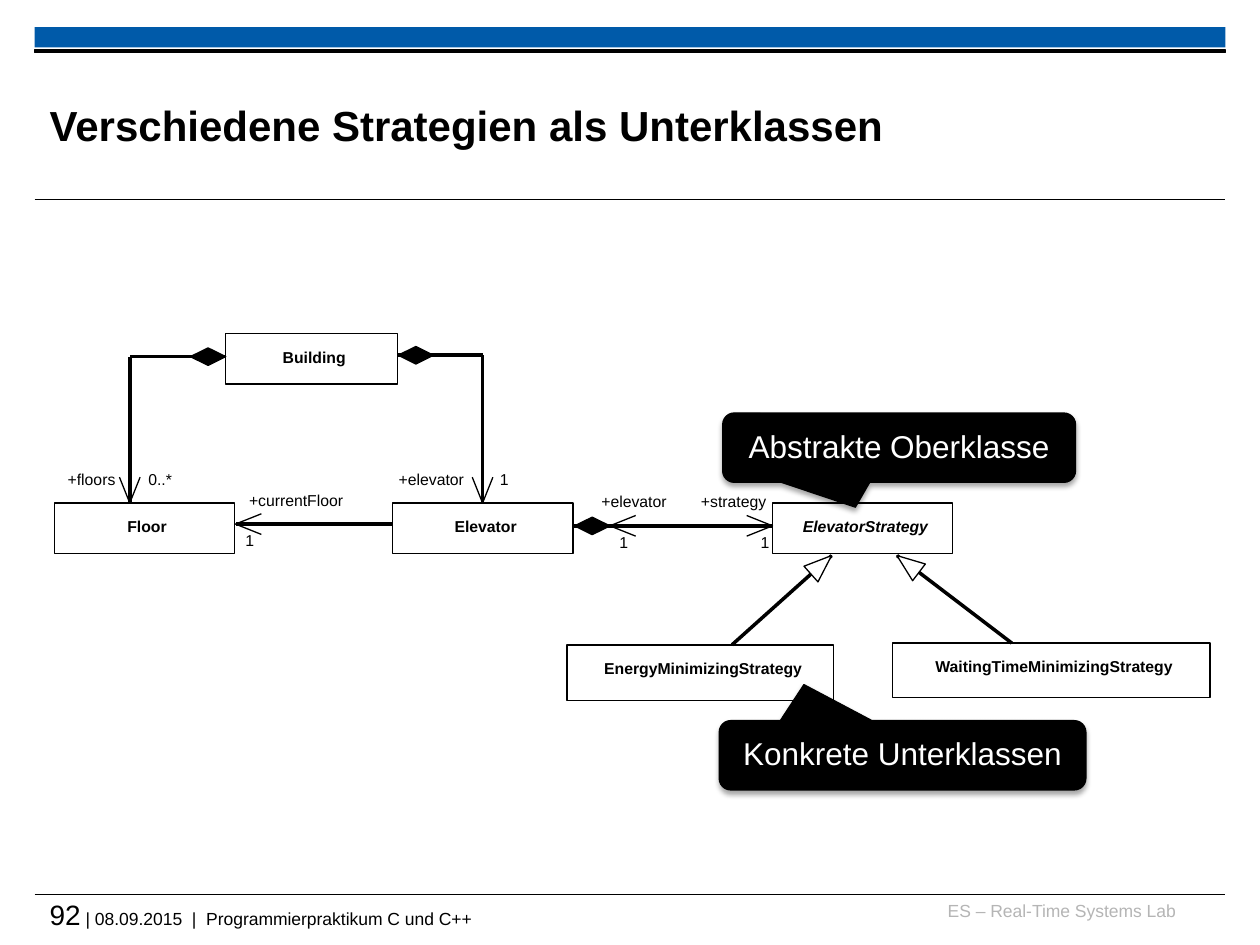
import math
from dataclasses import dataclass
from itertools import pairwise

import pptx
import pptx.dml.color
import pptx.enum.shapes
import pptx.enum.text
import pptx.oxml
import pptx.oxml.ns
import pptx.util
from lxml import etree

Pt = pptx.util.Pt
Shapes = pptx.enum.shapes.MSO_SHAPE
Align = pptx.enum.text.PP_ALIGN
Anchor = pptx.enum.text.MSO_ANCHOR


@dataclass(frozen=True)
class Theme:
    font: str = "Arial"
    ink: str = "000000"
    paper: str = "FFFFFF"
    accent: str = "005AA9"
    muted: str = "B5B5B5"
    title_size: float = 24
    callout_size: float = 18
    number_size: float = 16
    footer_size: float = 10
    diagram_size: float = 9
    hairline: float = 0
    rule: float = 0.6
    outline: float = 0.75
    line_spacing: float = 0.93


@dataclass(frozen=True)
class Box:
    left: float
    top: float
    width: float
    height: float

    def inside(self, left, top, width, height):
        return Box(self.left + left, self.top + top, width, height)

    def point(self, x, y):
        return self.left + x, self.top + y

    def lengths(self):
        return Pt(self.left), Pt(self.top), Pt(self.width), Pt(self.height)


THEME = Theme()
OPEN_ARROW = [(14.8, -5.9), (0, 0), (14.8, 5.9)]
DIAMOND = [(0, 0), (10.1, -5), (20.2, 0), (10.1, 5)]
TRIANGLE = [(0, 0), (15.8, -6), (15.8, 6)]


def color(value):
    return pptx.dml.color.RGBColor.from_string(value)


def style_font(font, size, value=THEME.ink, bold=False, italic=False):
    font.name, font.size = THEME.font, Pt(size)
    font.bold, font.italic = bold, italic
    font.color.rgb = color(value)


def style_shape(shape, fill=None, line_width=None):
    shape.shadow.inherit = False
    if fill:
        shape.fill.solid()
        shape.fill.fore_color.rgb = color(fill)
    else:
        shape.fill.background()
    if line_width is None:
        shape.line.fill.background()
    else:
        shape.line.color.rgb = color(THEME.ink)
        shape.line.width = Pt(line_width)


def clear_margins(frame):
    frame.margin_left = frame.margin_right = frame.margin_top = frame.margin_bottom = 0


def add_block(slide, kind, box, fill, line_width=None):
    shape = slide.shapes.add_shape(kind, *box.lengths())
    style_shape(shape, fill, line_width)
    return shape


def add_text(slide, box, wrap=True):
    frame = slide.shapes.add_textbox(*box.lengths()).text_frame
    clear_margins(frame)
    frame.word_wrap = wrap
    return frame.paragraphs[0]


def add_line(slide, start, end, width):
    connector = slide.shapes.add_connector(
        pptx.enum.shapes.MSO_CONNECTOR.STRAIGHT, *map(Pt, start + end))
    connector.line.color.rgb = color(THEME.ink)
    connector.line.width = Pt(width)
    etree.SubElement(connector.element.spPr, pptx.oxml.ns.qn("a:effectLst"))


def add_header(slide, box, text):
    add_block(slide, Shapes.RECTANGLE, box.inside(0, 0, box.width, 11.5), THEME.accent)
    add_block(slide, Shapes.RECTANGLE, box.inside(0, 13, box.width, 1.4),
              THEME.ink, THEME.outline)
    add_line(slide, box.point(0, box.height), box.point(box.width, box.height), THEME.rule)
    title = slide.shapes.title
    title.left, title.top, title.width, title.height = box.inside(8.6, 22.4, 541.5, 66.2).lengths()
    frame = title.text_frame
    clear_margins(frame)
    frame.auto_size = pptx.enum.text.MSO_AUTO_SIZE.NONE
    frame.vertical_anchor = Anchor.MIDDLE
    paragraph = frame.paragraphs[0]
    paragraph.text = text
    paragraph.alignment = Align.LEFT
    style_font(paragraph.font, THEME.title_size, bold=True)


def add_footer(slide, box, number, details, lab):
    add_line(slide, box.point(0, 0), box.point(box.width, 0), THEME.rule)
    paragraph = add_text(slide, box.inside(510, 3, 142, 18))
    paragraph.text = lab
    paragraph.alignment = Align.RIGHT
    style_font(paragraph.font, THEME.footer_size, THEME.muted)
    paragraph = add_text(slide, box.inside(8.6, 1.6, 450, 24))
    for text, size in [(number, THEME.number_size), (details, THEME.footer_size)]:
        run = paragraph.add_run()
        run.text = text
        style_font(run.font, size)


def add_class(slide, box, name, abstract=False):
    shape = add_block(slide, Shapes.RECTANGLE, box, THEME.paper, THEME.hairline)
    frame = shape.text_frame
    clear_margins(frame)
    frame.margin_left, frame.margin_top = Pt(3), Pt(9)
    frame.vertical_anchor = Anchor.TOP
    frame.word_wrap = False
    paragraph = frame.paragraphs[0]
    paragraph.text = name
    paragraph.alignment = Align.CENTER
    paragraph.line_spacing = THEME.line_spacing
    style_font(paragraph.font, THEME.diagram_size, bold=True, italic=abstract)


def add_end(slide, tip, toward, outline, fill=None):
    angle = math.atan2(toward[1] - tip[1], toward[0] - tip[0])
    cosine, sine = math.cos(angle), math.sin(angle)
    points = [(Pt(tip[0] + along * cosine - across * sine),
               Pt(tip[1] + along * sine + across * cosine))
              for along, across in outline]
    builder = slide.shapes.build_freeform(*points[0])
    builder.add_line_segments(points[1:], close=fill is not None)
    style_shape(builder.convert_to_shape(), fill, THEME.hairline)


def add_relation(slide, points, end, end_fill=None, owned=False):
    for start, stop in pairwise(points):
        add_line(slide, start, stop, THEME.hairline)
    add_end(slide, points[-1], points[-2], end, end_fill)
    if owned:
        add_end(slide, points[0], points[1], DIAMOND, THEME.ink)


def add_class_diagram(slide, box):
    for name, place, abstract in [
        ("Building", (98, 0, 98, 29), False),
        ("Floor", (0, 97, 103, 29), False),
        ("Elevator", (193.5, 97, 103, 29), False),
        ("ElevatorStrategy", (410.5, 97, 103, 29), True),
        ("EnergyMinimizingStrategy", (293, 178, 152.5, 32), False),
        ("WaitingTimeMinimizingStrategy", (479, 177, 181.5, 31), False),
    ]:
        add_class(slide, box.inside(*place), name, abstract)

    for route, end, fill, owned in [
        ([(193.5, 109), (103.6, 109)], OPEN_ARROW, None, False),
        ([(297.3, 110), (410.5, 110)], OPEN_ARROW, None, True),
        ([(196.5, 12.5), (244.8, 12.5), (244.8, 97)], OPEN_ARROW, None, True),
        ([(98, 13.3), (43.2, 13.3), (43.2, 97)], OPEN_ARROW, None, True),
        ([(387.3, 178), (444.2, 127)], TRIANGLE, THEME.paper, False),
        ([(547.2, 177), (481.6, 127)], TRIANGLE, THEME.paper, False),
    ]:
        add_relation(slide, [box.point(*point) for point in route], end, fill, owned)
    add_end(slide, box.point(317.5, 110), box.point(410.5, 110), OPEN_ARROW)

    for text, left, top, width in [
        ("+currentFloor", 107.2, 91, 62), ("1", 107.2, 114, 9),
        ("+elevator", 308.8, 91.7, 45), ("1", 321, 114.8, 9),
        ("+strategy", 365.7, 91.7, 45), ("1", 401.7, 114.8, 9),
        ("+elevator", 193, 78.8, 45), ("1", 252.7, 78.8, 9),
        ("+floors", 4.3, 78.8, 34), ("0..*", 51, 78.8, 19),
    ]:
        paragraph = add_text(slide, box.inside(left, top, width, 13), wrap=False)
        paragraph.text = text
        paragraph.alignment = Align.CENTER
        paragraph.line_spacing = THEME.line_spacing
        style_font(paragraph.font, THEME.diagram_size)


def add_callout(slide, box, text, pointer):
    shape = add_block(slide, Shapes.ROUNDED_RECTANGULAR_CALLOUT, box, THEME.ink, THEME.outline)
    shape.adjustments[0], shape.adjustments[1] = pointer
    effects = shape.element.spPr.find(pptx.oxml.ns.qn("a:effectLst"))
    effects.append(pptx.oxml.parse_xml(
        f'<a:outerShdw {pptx.oxml.ns.nsdecls("a")} blurRad="{Pt(3.1)}" dist="{Pt(1.8)}" '
        f'dir="5400000" rotWithShape="0"><a:srgbClr val="{THEME.ink}">'
        '<a:alpha val="35000"/></a:srgbClr></a:outerShdw>'))
    frame = shape.text_frame
    frame.vertical_anchor = Anchor.MIDDLE
    paragraph = frame.paragraphs[0]
    paragraph.text = text
    paragraph.alignment = Align.CENTER
    paragraph.line_spacing = THEME.line_spacing
    style_font(paragraph.font, THEME.callout_size, THEME.paper)


def main():
    presentation = pptx.Presentation()
    presentation.slide_width, presentation.slide_height = Pt(720), Pt(540)
    slide = presentation.slides.add_slide(presentation.slide_layouts[5])
    add_header(slide, Box(19.8, 15.6, 680.4, 98.6), "Verschiedene Strategien als Unterklassen")
    add_class_diagram(slide, Box(31, 190.5, 660.5, 210))
    add_callout(slide, Box(413, 236, 201.6, 39.6), "Abstrakte Oberklasse", (-0.124, 0.859))
    add_callout(slide, Box(411, 411.8, 209.5, 39.6), "Konkrete Unterklassen", (-0.269, -1.02))
    add_footer(slide, Box(19.8, 511, 680.4, 29), "92",
               " | 08.09.2015  |  Programmierpraktikum C und C++", "ES – Real-Time Systems Lab")
    presentation.save("out.pptx")


if __name__ == "__main__":
    main()
